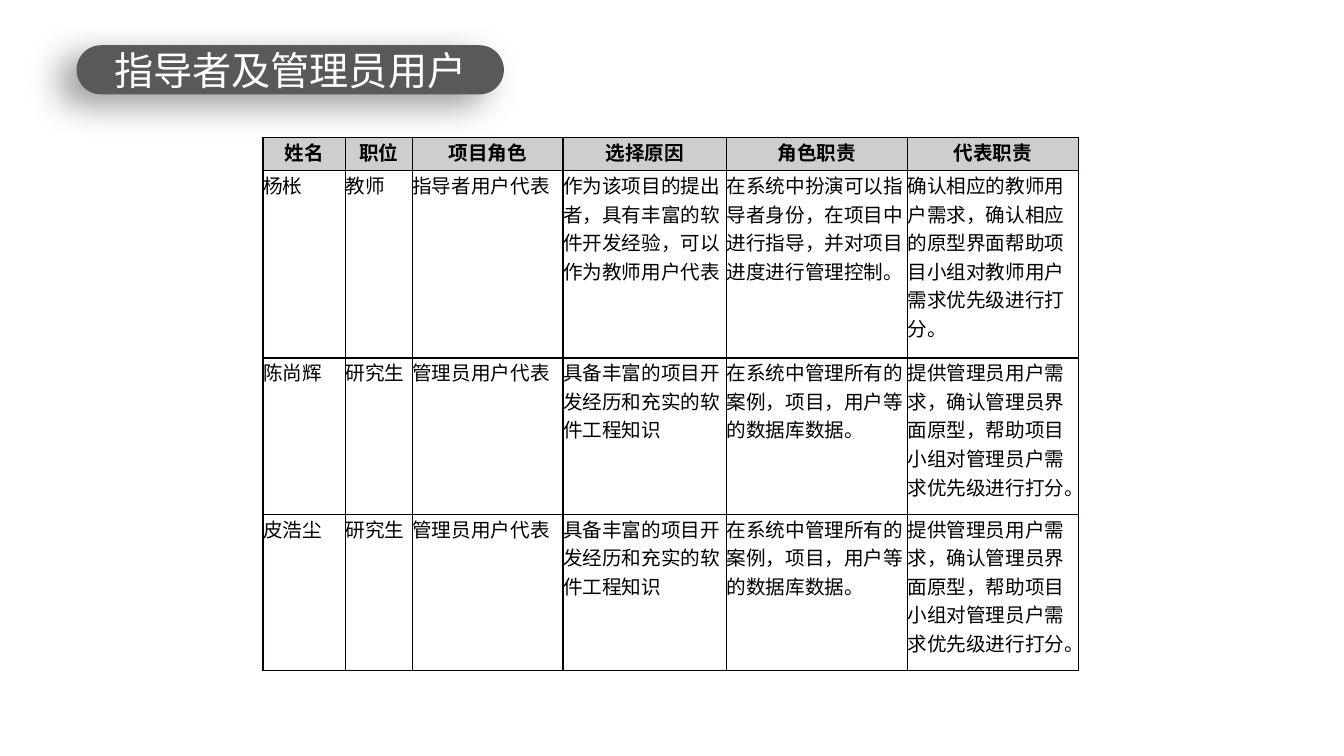
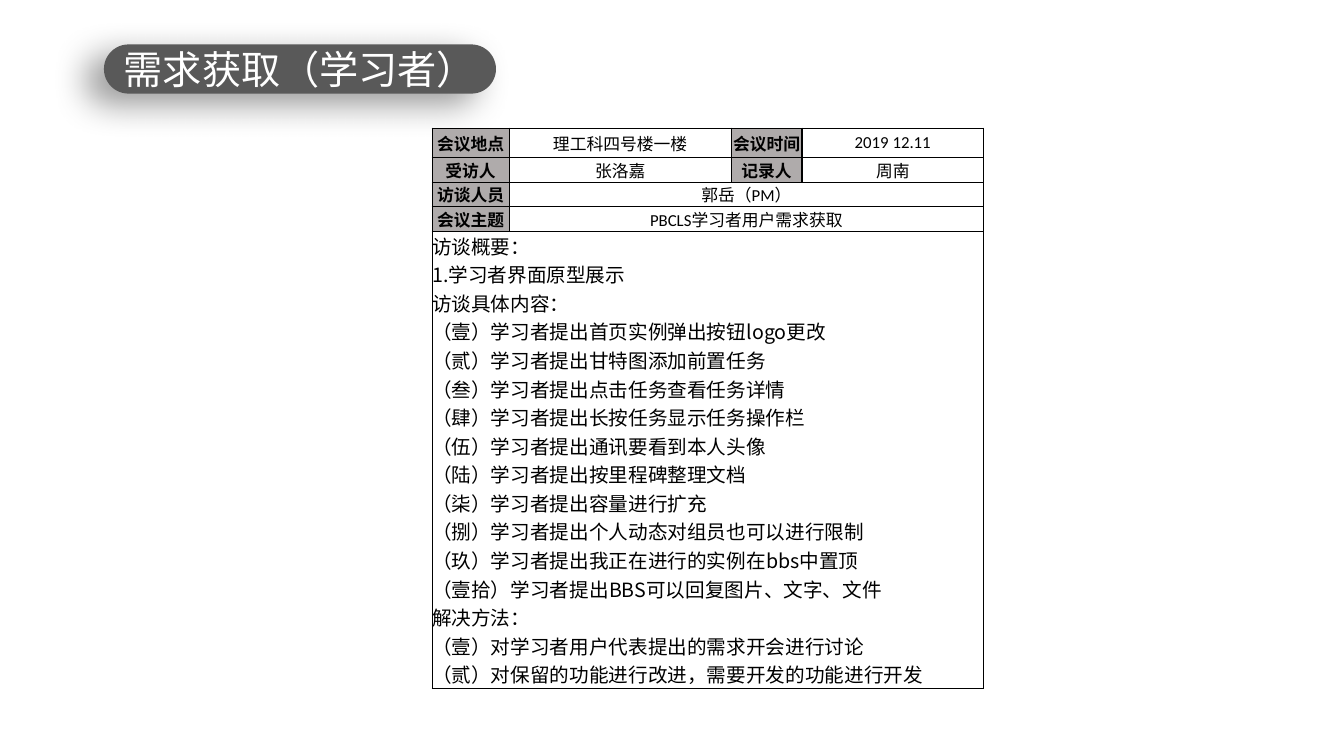
"""Build two slides with a pill title and a bordered table each."""
from dataclasses import dataclass, field

from lxml import etree
from pptx import Presentation
from pptx.dml.color import RGBColor
from pptx.enum import lang, shapes, text
from pptx.oxml import ns, parse_xml
from pptx.util import Cm, Pt

HUES = {"pill": "595959", "head": "CFCECE", "label": "AFABAB",
        "ink": "000000", "edge": "080000", "light": "FFFFFF"}
ASIAN = "Noto Sans CJK SC"
MID = text.MSO_ANCHOR.MIDDLE
TOP = text.MSO_ANCHOR.TOP
LEFT = text.PP_ALIGN.LEFT
CENTER = text.PP_ALIGN.CENTER


@dataclass
class Look:
    size: int
    face: str
    bold: bool = False
    hue: str = "ink"
    fill: str = ""
    align: text.PP_ALIGN = CENTER
    anchor: text.MSO_ANCHOR = MID


@dataclass
class Pill:
    words: str
    left: float
    top: float
    width: float
    height: float = 1.24


@dataclass
class Cell:
    words: str
    look: Look
    span: int = 1


@dataclass
class Grid:
    left: float
    top: float
    cols: list[float]
    rows: list[float]
    edge: str
    cells: list[list[Cell]] = field(default_factory=list)


TITLE = Look(28, "Calibri", hue="light")
HEAD = Look(14, "Times New Roman", True, fill="head", anchor=TOP)
BODY = Look(14, ASIAN, align=LEFT, anchor=TOP)
LABEL = Look(12, "Calibri", True, fill="label")
VALUE = Look(12, "Calibri")

HEADS = ["姓名", "职位", "项目角色", "选择原因", "角色职责", "代表职责"]
ADMIN = ["研究生", "管理员用户代表",
         "具备丰富的项目开发经历和充实的软件工程知识",
         "在系统中管理所有的案例，项目，用户等的数据库数据。",
         "提供管理员用户需求，确认管理员界面原型，帮助项目小组对管理员户需求优先级进行打分。"]
USERS = [
    ["杨枨", "教师", "指导者用户代表",
     "作为该项目的提出者，具有丰富的软件开发经验，可以作为教师用户代表",
     "在系统中扮演可以指导者身份，在项目中进行指导，并对项目进度进行管理控制。",
     "确认相应的教师用户需求，确认相应的原型界面帮助项目小组对教师用户需求优先级进行打分。"],
    ["陈尚辉", *ADMIN],
    ["皮浩尘", *ADMIN],
]
FACTS = [
    ["会议地点", "理工科四号楼一楼", "会议时间", "2019 12.11"],
    ["受访人", "张洛嘉", "记录人", "周南"],
    ["访谈人员", "郭岳（PM）"],
    ["会议主题", "PBCLS学习者用户需求获取"],
]
NOTES = """访谈概要：
1.学习者界面原型展示
访谈具体内容：
（壹）学习者提出首页实例弹出按钮logo更改
（贰）学习者提出甘特图添加前置任务
（叁）学习者提出点击任务查看任务详情
（肆）学习者提出长按任务显示任务操作栏
（伍）学习者提出通讯要看到本人头像
（陆）学习者提出按里程碑整理文档
（柒）学习者提出容量进行扩充
（捌）学习者提出个人动态对组员也可以进行限制
（玖）学习者提出我正在进行的实例在bbs中置顶
（壹拾）学习者提出BBS可以回复图片、文字、文件
解决方法：
（壹）对学习者用户代表提出的需求开会进行讨论
（贰）对保留的功能进行改进，需要开发的功能进行开发"""


def tint(name: str) -> RGBColor:
    return RGBColor.from_string(HUES[name])


def put(item, vals: dict) -> None:
    for name, val in vals.items():
        setattr(item, name, val)


def write(frame, words: str, look: Look) -> None:
    frame.text = words
    for para in frame.paragraphs:
        para.alignment = look.align
        for run in para.runs:
            put(run.font, {"size": Pt(look.size), "bold": look.bold,
                           "name": look.face,
                           "language_id": lang.MSO_LANGUAGE_ID.SIMPLIFIED_CHINESE})
            run.font.color.rgb = tint(look.hue)
            latin = run.font._element.find(ns.qn("a:latin"))
            asian = etree.Element(ns.qn("a:ea"), typeface=ASIAN)
            latin.addnext(asian)


def shade(shape) -> None:
    shape._element.spPr.append(parse_xml(
        f'<a:effectLst {ns.nsdecls("a")}><a:outerShdw blurRad="{Pt(25)}" '
        f'dist="{Pt(15)}" dir="9000000" algn="ctr" rotWithShape="0">'
        f'<a:srgbClr val="{HUES["ink"]}"><a:alpha val="40000"/></a:srgbClr>'
        '</a:outerShdw></a:effectLst>'))


def draw_pill(slide, pill: Pill) -> None:
    box = [Cm(n) for n in (pill.left, pill.top, pill.width, pill.height)]
    back = slide.shapes.add_shape(shapes.MSO_SHAPE.ROUNDED_RECTANGLE, *box)
    back.adjustments[0] = 0.5
    back.fill.solid()
    back.fill.fore_color.rgb = tint("pill")
    back.line.fill.background()
    shade(back)
    title = slide.shapes.title
    title._element.addprevious(back._element)
    put(title, dict(zip(("left", "top", "width", "height"), box)))
    put(title.text_frame, {"word_wrap": True, "vertical_anchor": MID,
                           "auto_size": text.MSO_AUTO_SIZE.NONE})
    write(title.text_frame, pill.words, TITLE)


def frame_cell(cell, edge: str) -> None:
    props = cell._tc.get_or_add_tcPr()
    for side in "LRTB":
        props.append(parse_xml(
            f'<a:ln{side} {ns.nsdecls("a")} w="{Pt(1)}"><a:solidFill>'
            f'<a:srgbClr val="{HUES[edge]}"/></a:solidFill></a:ln{side}>'))


def style_cell(cell, look: Look) -> None:
    put(cell, {"margin_left": 0, "margin_right": 0, "margin_top": 0,
               "margin_bottom": 0, "vertical_anchor": look.anchor})
    if look.fill:
        cell.fill.solid()
        cell.fill.fore_color.rgb = tint(look.fill)
    else:
        cell.fill.background()


def draw_grid(slide, grid: Grid) -> None:
    table = slide.shapes.add_table(
        len(grid.rows), len(grid.cols), Cm(grid.left), Cm(grid.top),
        Cm(sum(grid.cols)), Cm(sum(grid.rows))).table
    put(table, {"first_row": False, "horz_banding": False})
    for col, width in zip(table.columns, grid.cols):
        col.width = Cm(width)
    for row, height in zip(table.rows, grid.rows):
        row.height = Cm(height)
    for y, line in enumerate(grid.cells):
        x = 0
        for item in line:
            for step in range(x, x + item.span):
                frame_cell(table.cell(y, step), grid.edge)
                style_cell(table.cell(y, step), item.look)
            cell = table.cell(y, x)
            if item.span > 1:
                cell.merge(table.cell(y, x + item.span - 1))
            write(cell.text_frame, item.words, item.look)
            x += item.span


def user_grid() -> Grid:
    cells = [[Cell(word, HEAD) for word in HEADS]]
    cells += [[Cell(word, BODY) for word in user] for user in USERS]
    return Grid(6.63, 3.46, [2.08, 1.68, 3.8, 4.12, 4.56, 4.31],
                [0.84, 4.72, 3.94, 3.94], "edge", cells)


def fact_grid() -> Grid:
    cells = []
    for fact in FACTS:
        span = 3 if len(fact) == 2 else 1
        cells.append([Cell(word, VALUE, span) if i % 2 else Cell(word, LABEL)
                      for i, word in enumerate(fact)])
    cells.append([Cell(NOTES, BODY, 4)])
    return Grid(10.89, 3.23, [1.94, 5.6, 1.78, 4.58],
                [0.74, 0.62, 0.62, 0.62, 11.5], "ink", cells)


def main() -> None:
    deck = Presentation()
    put(deck, {"slide_width": Cm(33.87), "slide_height": Cm(19.05)})
    pages = [
        (Pill("指导者及管理员用户", 1.93, 1.14, 10.77), user_grid()),
        (Pill("需求获取（学习者）", 2.62, 1.12, 9.88), fact_grid()),
    ]
    for pill, grid in pages:
        slide = deck.slides.add_slide(deck.slide_layouts[5])
        draw_pill(slide, pill)
        draw_grid(slide, grid)
    deck.save("out.pptx")


if __name__ == "__main__":
    main()
